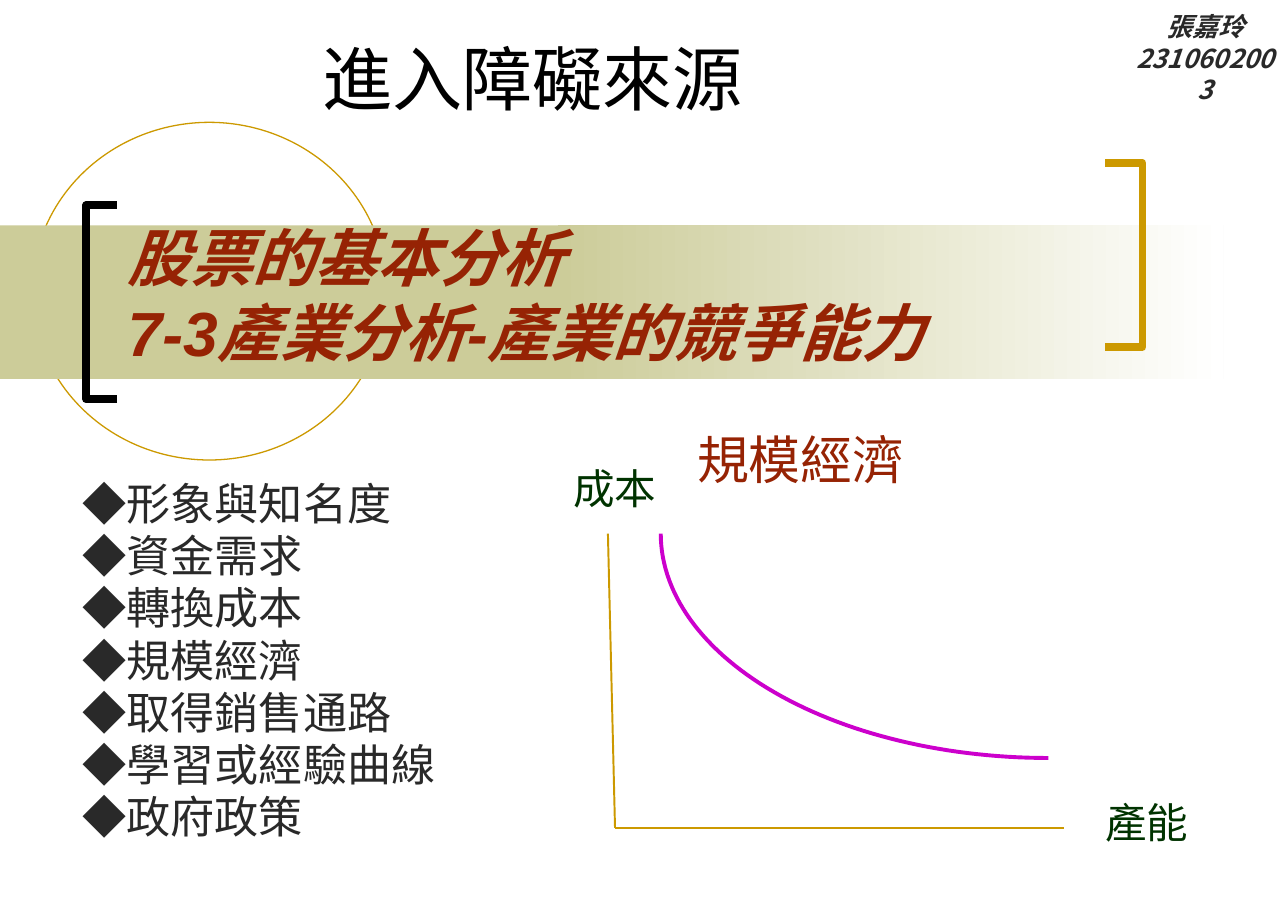
import math
import pptx
import pptx.util
import pptx.dml.color
import pptx.enum.shapes
import pptx.enum.text
import pptx.oxml

Pt = pptx.util.Pt
Color = pptx.dml.color.RGBColor
Kind = pptx.enum.shapes.MSO_SHAPE
Align = pptx.enum.text.PP_ALIGN
Anchor = pptx.enum.text.MSO_ANCHOR

BLACK = Color(0x00, 0x00, 0x00)
WHITE = Color(0xFF, 0xFF, 0xFF)
GOLD = Color(0xCC, 0x99, 0x00)
SAND = Color(0xCC, 0xCC, 0x99)
RUST = Color(0x96, 0x23, 0x04)
GRAY = Color(0x29, 0x29, 0x29)
GREEN = Color(0x00, 0x33, 0x00)
PINK = Color(0xCC, 0x00, 0xCC)
LATIN = "Arial"
NOTO = "Noto Sans CJK SC"

deck = pptx.Presentation()
deck.slide_width = pptx.util.Inches(13.78)
deck.slide_height = pptx.util.Inches(9.84)
slide = deck.slides.add_slide(deck.slide_layouts[6])
shapes = slide.shapes

# All places and sizes are percent of the slide's width and height.
col = deck.slide_width / 100
row = deck.slide_height / 100


def draw_path(points, color, width):
    """Draw an open line through the points."""
    spots = [(round(x * col), round(y * row)) for x, y in points]
    pen = shapes.build_freeform(*spots[0], scale=1.0)
    pen.add_line_segments(spots[1:], close=False)
    path = pen.convert_to_shape()
    path.shadow.inherit = False
    path.fill.background()
    path.line.color.rgb = color
    path.line.width = Pt(width)


def add_text(place, lines, size, color, font=LATIN, bold=False, wrap=True):
    """Add a text box with one paragraph per line and return its frame."""
    x, y, wide, high = place
    box = shapes.add_textbox(round(x * col), round(y * row),
                             round(wide * col), round(high * row))
    frame = box.text_frame
    frame.word_wrap = wrap
    frame.text = "\n".join(lines)
    for para in frame.paragraphs:
        para.font.size = Pt(size)
        para.font.name = font
        para.font.color.rgb = color
        para.font.bold = para.font.italic = bold
    return frame


# Circle behind the title band
ring = shapes.add_shape(Kind.OVAL, round(2.5 * col), round(13.3 * row),
                        round(27.5 * col), round(36.7 * row))
ring.shadow.inherit = False
ring.fill.background()
ring.line.color.rgb = GOLD
ring.line.width = Pt(1)

# Title band: a plain part, then one that fades out
for left, fade in ((0, False), (43.3, True)):
    band = shapes.add_shape(Kind.RECTANGLE, round(left * col), round(24.5 * row),
                            round(51.7 * col), round(16.7 * row))
    band.shadow.inherit = False
    band.line.fill.background()
    if fade:
        band.fill.gradient()
        band.fill.gradient_angle = 0
        for stop, color, place in zip(band.fill.gradient_stops, (SAND, WHITE), (0, 1)):
            stop.color.rgb = color
            stop.position = place
    else:
        band.fill.solid()
        band.fill.fore_color.rgb = SAND

# Brackets around the title
for tip, back, top, base, color in ((9.1, 6.7, 22.3, 43.4, BLACK),
                                    (85.8, 88.7, 17.7, 37.7, GOLD)):
    draw_path([(tip, base), (back, base), (back, top), (tip, top)], color, 6)

# Title and list share wider margins
title = add_text((8.9, 22.8, 84.2, 18.4),
                 ["股票的基本分析", "7-3產業分析-產業的競爭能力"], 48, RUST, bold=True)
title.vertical_anchor = Anchor.MIDDLE
sources = ["形象與知名度", "資金需求", "轉換成本", "規模經濟",
           "取得銷售通路", "學習或經驗曲線", "政府政策"]
items = add_text((5.4, 52.2, 30.8, 41.8), ["◆" + name for name in sources], 34, GRAY)
for para in items.paragraphs:
    para.line_spacing = 0.8
    para.space_before = Pt(7.5)
for frame in (title, items):
    frame.margin_left = frame.margin_right = pptx.util.Inches(0.14)
    frame.margin_top = frame.margin_bottom = pptx.util.Inches(0.07)

heading = add_text((24.3, 2.8, 62.3, 11.3), ["進入障礙來源"], 54, BLACK)
heading.vertical_anchor = Anchor.MIDDLE
author = add_text((87.3, 0.7, 12.55, 7.8), ["張嘉玲", "2310602003"], 20, GRAY, NOTO, bold=True)
for para in author.paragraphs:
    para.alignment = Align.CENTER

# Cost curve with its axes and labels
add_text((53.4, 46, 17.7, 7.8), ["規模經濟"], 40, RUST, NOTO)
start, corner, end = (47.2, 58), (47.75, 90), (82.6, 90)
for (x1, y1), (x2, y2) in ((start, corner), (corner, end)):
    axis = shapes.add_connector(pptx.enum.shapes.MSO_CONNECTOR.STRAIGHT,
                                round(x1 * col), round(y1 * row),
                                round(x2 * col), round(y2 * row))
    axis.line.color.rgb = GOLD
    axis.line.width = Pt(1.5)
    props = axis._element.spPr
    props.append(pptx.oxml.parse_xml(
        '<a:effectLst xmlns:a="http://schemas.openxmlformats.org/drawingml/2006/main"/>'))
for label, x, y in (("成本", 43.8, 49.8), ("產能", 85.1, 86.1)):
    add_text((x, y, 8, 6.5), [label], 32, GREEN, NOTO, wrap=False)

# The curve is a quarter of an ellipse
steps = 60
turns = [math.pi / 2 * step / steps for step in range(steps + 1)]
draw_path([(81.4 - 30.1 * math.sin(turn), 58 + 24.4 * math.cos(turn)) for turn in turns],
          PINK, 3)

deck.save("out.pptx")
